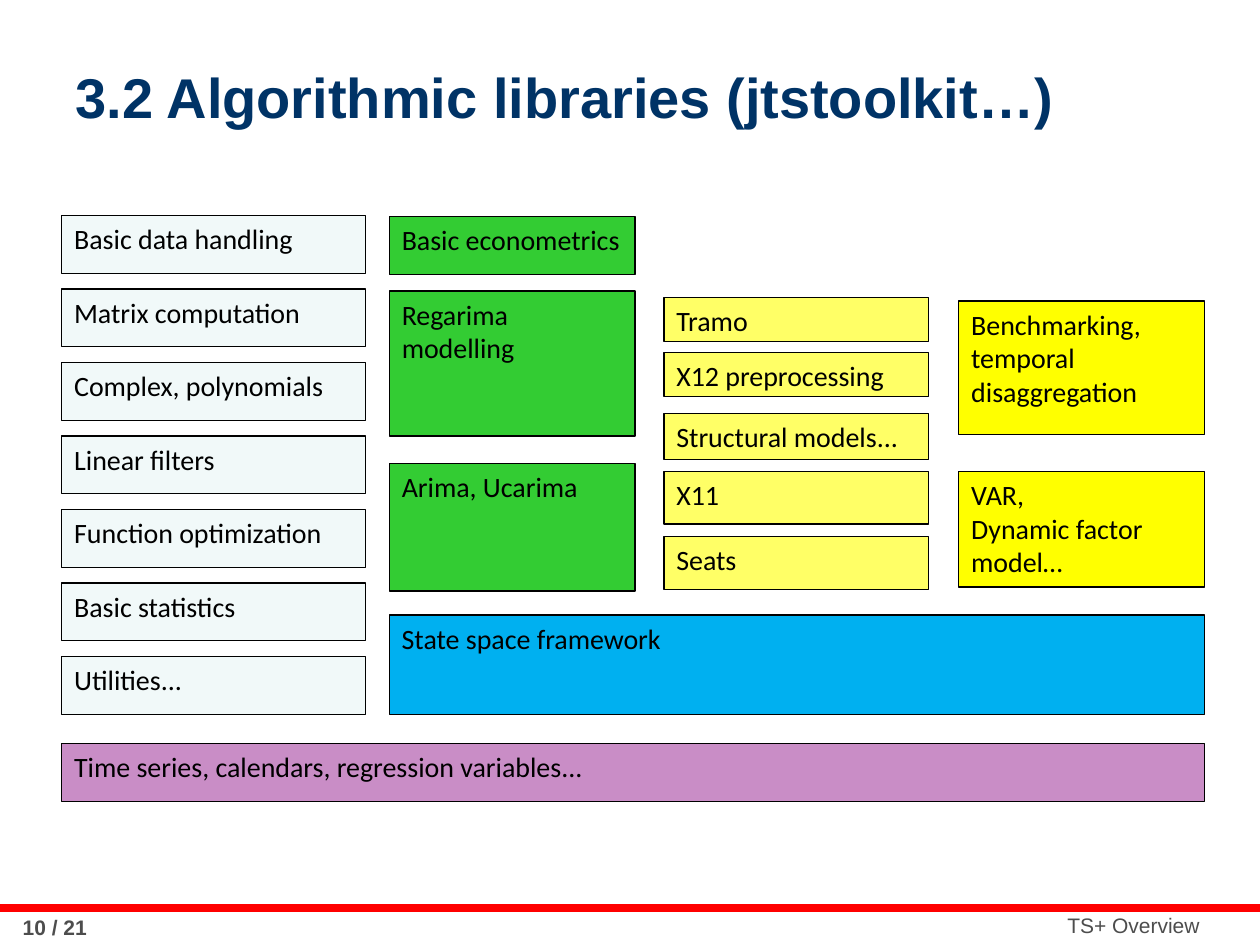
from dataclasses import dataclass

from lxml import etree
from pptx import Presentation
from pptx import util as u
from pptx.dml import color
from pptx.enum import shapes, text
from pptx.oxml import ns

HUES = {
    "base": "F1F9F9", "core": "33CC33", "method": "FFFF66", "extra": "FFFF00",
    "state": "00B0F0", "series": "C98DC6", "ink": "000000", "title": "003366",
    "foot": "4D4D4D", "rule": "FF0000",
}


@dataclass
class Column:
    left: float
    width: float
    hue: str
    rows: list[tuple[float, float, str]]  # top, height, label


@dataclass
class Label:
    words: str
    box: tuple[float, float, float, float]
    font: dict
    align: text.PP_ALIGN = text.PP_ALIGN.LEFT
    anchor: text.MSO_ANCHOR = text.MSO_ANCHOR.TOP


BASICS = ["Basic data handling", "Matrix computation", "Complex, polynomials",
          "Linear filters", "Function optimization", "Basic statistics",
          "Utilities..."]
PITCH = 3.5 / (len(BASICS) - 1)

COLUMNS = [
    Column(0.49, 2.41, "base",
           [(1.71 + i * PITCH, 0.46, name) for i, name in enumerate(BASICS)]),
    Column(3.09, 1.95, "core", [(1.72, 0.46, "Basic econometrics"),
                                (2.31, 1.15, "Regarima modelling"),
                                (3.68, 1.01, "Arima, Ucarima")]),
    Column(5.27, 2.1, "method", [(2.36, 0.35, "Tramo"),
                                 (2.8, 0.35, "X12 preprocessing"),
                                 (3.28, 0.37, "Structural models..."),
                                 (3.74, 0.42, "X11"),
                                 (4.26, 0.42, "Seats")]),
    Column(7.61, 1.95, "extra",
           [(2.39, 1.06, "Benchmarking, temporal disaggregation"),
            (3.74, 0.92, "VAR,\nDynamic factor model…")]),
    Column(3.09, 6.47, "state", [(4.88, 0.79, "State space framework")]),
    Column(0.49, 9.07, "series",
           [(5.9, 0.46, "Time series, calendars, regression variables...")]),
]

BODY = {"name": "Calibri", "size": u.Pt(16)}
HEAD = {"name": "Arial", "size": u.Pt(32), "bold": True, "hue": "title"}
FOOT = {"name": "Arial", "size": u.Pt(12), "hue": "foot"}
LABELS = [
    Label("TS+ Overview", (5, 7.19, 4.62, 0.3), FOOT, text.PP_ALIGN.RIGHT),
    Label("10 / 21", (0, 7.21, 0.87, 0.3), FOOT | {"bold": True},
          text.PP_ALIGN.CENTER),
    Label("3.2 Algorithmic libraries (jtstoolkit…)", (0.5, 0.3, 9, 0.93), HEAD,
          anchor=text.MSO_ANCHOR.MIDDLE),
]


def tint(hue: str) -> color.RGBColor:
    return color.RGBColor.from_string(HUES[hue])


def write(frame, words: str, font: dict, align=text.PP_ALIGN.LEFT,
          anchor=text.MSO_ANCHOR.TOP) -> None:
    frame.word_wrap = True
    frame.vertical_anchor = anchor
    frame.text = words
    for para in frame.paragraphs:
        para.alignment = align
        for key, value in font.items():
            if key != "hue":
                setattr(para.font, key, value)
        para.font.color.rgb = tint(font.get("hue", "ink"))


def draw_label(slide, label: Label) -> None:
    box = slide.shapes.add_textbox(*map(u.Inches, label.box))
    write(box.text_frame, label.words, label.font, label.align, label.anchor)


def draw_column(slide, col: Column) -> None:
    for top, height, words in col.rows:
        box = slide.shapes.add_shape(
            shapes.MSO_SHAPE.RECTANGLE,
            *map(u.Inches, (col.left, top, col.width, height)))
        box.shadow.inherit = False
        box.fill.solid()
        box.fill.fore_color.rgb = tint(col.hue)
        box.line.color.rgb = tint("ink")
        box.line.width = u.Pt(0.75)
        write(box.text_frame, words, BODY)


def draw_rule(slide, top: float) -> None:
    rule = slide.shapes.add_connector(
        shapes.MSO_CONNECTOR.STRAIGHT, *map(u.Inches, (0, top, 10, top)))
    rule.line.color.rgb = tint("rule")
    rule.line.width = u.Pt(4.5)
    etree.SubElement(rule._element.spPr, ns.qn("a:effectLst"))


def main() -> None:
    deck = Presentation()
    deck.slide_width, deck.slide_height = u.Inches(10), u.Inches(7.5)
    slide = deck.slides.add_slide(deck.slide_layouts[6])
    draw_rule(slide, 7.21)
    for label in LABELS:
        draw_label(slide, label)
    for col in COLUMNS:
        draw_column(slide, col)
    deck.save("out.pptx")


if __name__ == "__main__":
    main()
